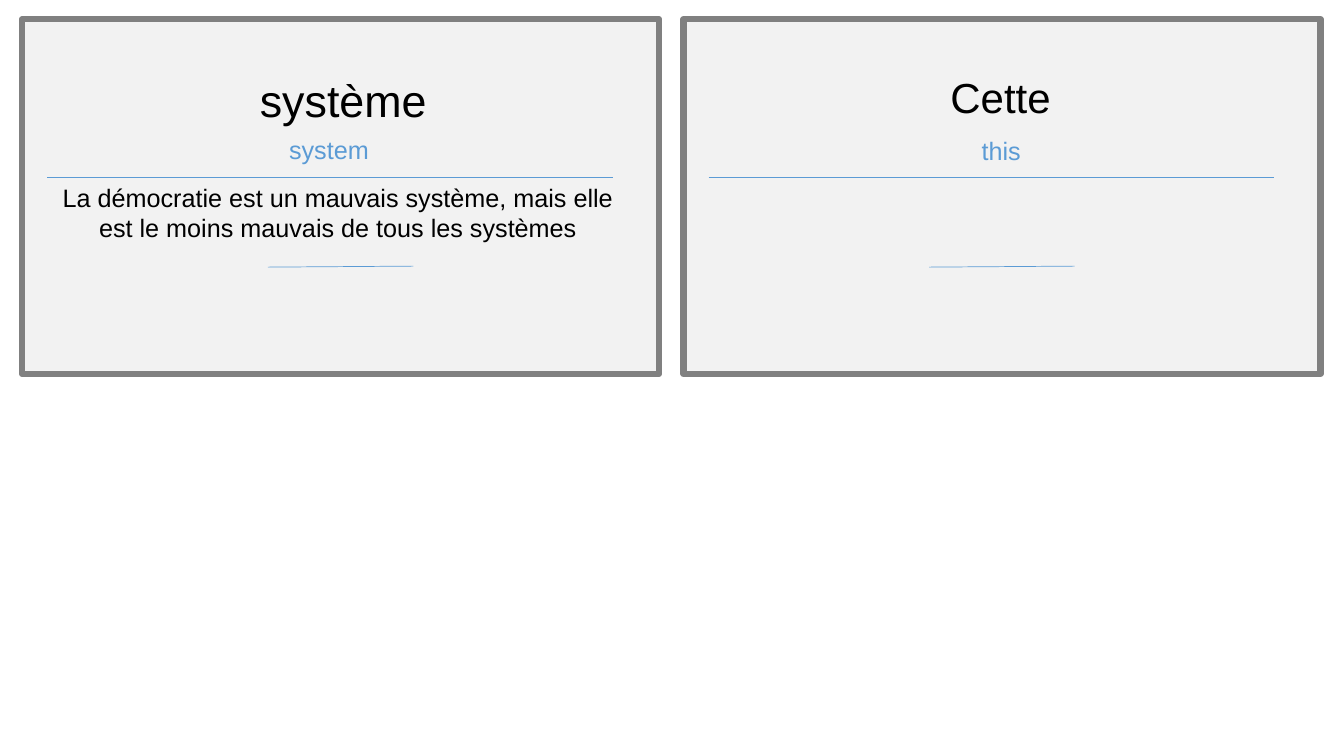
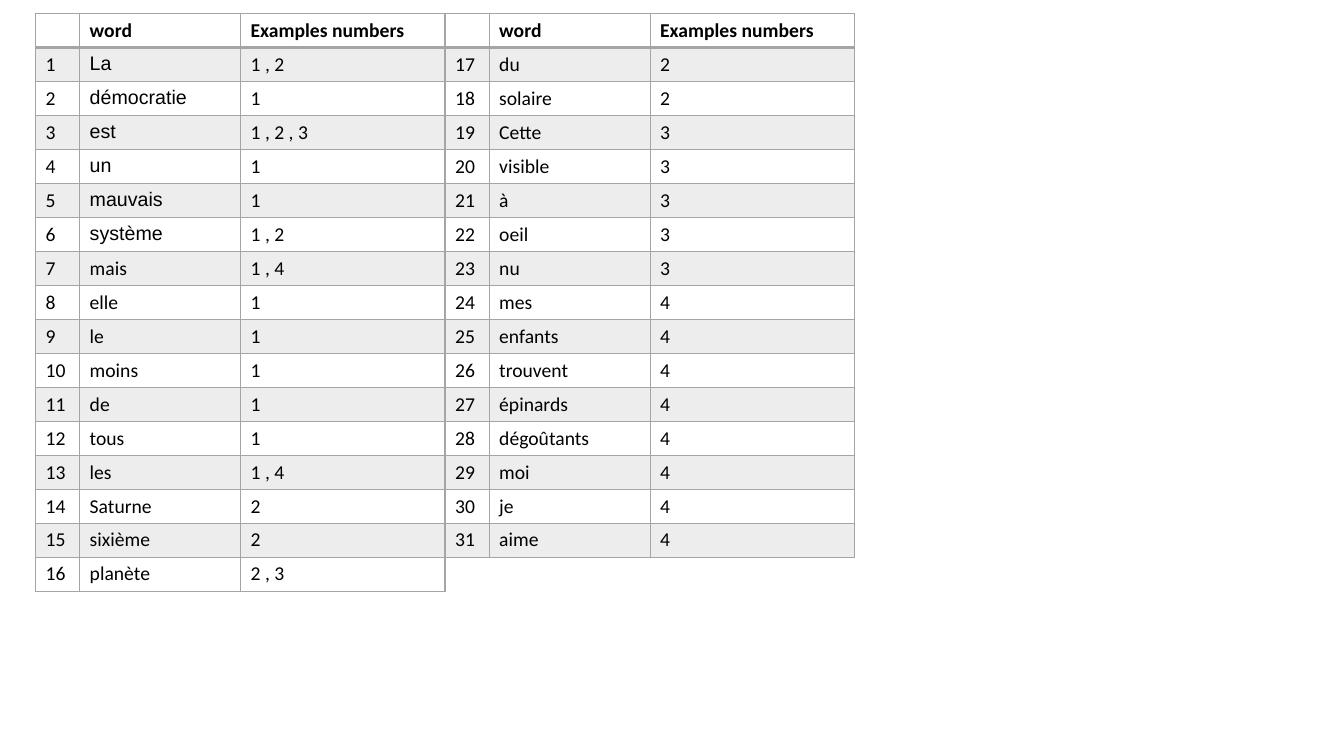
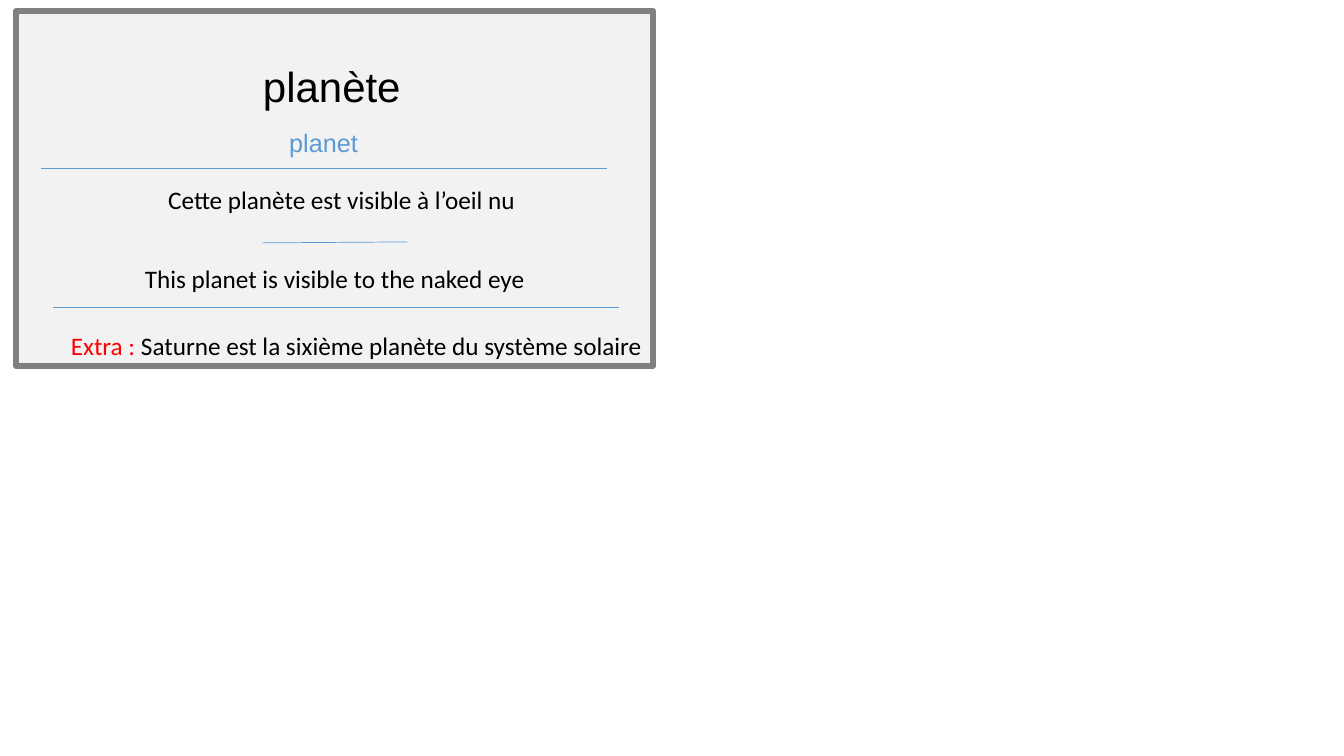
from lxml.etree import SubElement
from pptx import Presentation
from pptx.dml.color import RGBColor as RGB
from pptx.enum.shapes import MSO_CONNECTOR as CONN, MSO_SHAPE as SHAPE
from pptx.enum.text import MSO_AUTO_SIZE as FIT, PP_ALIGN as AL
from pptx.oxml.ns import qn
from pptx.util import Pt

COLORS = {"card": "F2F2F2", "frame": "808080", "accent": "5B9BD5",
          "ink": "000000", "extra": "FF0000", "grid": "A5A5A5"}
CARD_W, CARD_H = 455, 253.4
RULE_W, SHORT_W = 404, 104
ROW_H = 24
COLUMNS = (31.5, 115, 146)
HEADER = ("", "word", "Examples numbers")
ARIAL_ROWS = 6
WORDS = [
    ("La", "1 , 2"), ("démocratie", "1"), ("est", "1 , 2 , 3"), ("un", "1"),
    ("mauvais", "1"), ("système", "1 , 2"), ("mais", "1 , 4"), ("elle", "1"),
    ("le", "1"), ("moins", "1"), ("de", "1"), ("tous", "1"), ("les", "1 , 4"),
    ("Saturne", "2"), ("sixième", "2"), ("planète", "2 , 3"), ("du", "2"),
    ("solaire", "2"), ("Cette", "3"), ("visible", "3"), ("à", "3"),
    ("oeil", "3"), ("nu", "3"), ("mes", "4"), ("enfants", "4"),
    ("trouvent", "4"), ("épinards", "4"), ("dégoûtants", "4"), ("moi", "4"),
    ("je", "4"), ("aime", "4"),
]


def rgb(name):
    """Return the named colour."""
    return RGB.from_string(COLORS[name])


def add_text(slide, box, runs, size=18, font="Arial", align=AL.LEFT, wrap=True):
    """Add one paragraph made of (text, colour) runs."""
    tf = slide.shapes.add_textbox(*map(Pt, box)).text_frame
    tf.word_wrap = wrap
    tf.auto_size = FIT.SHAPE_TO_FIT_TEXT
    p = tf.paragraphs[0]
    p.alignment = align
    p.font.size, p.font.name = Pt(size), font
    for text, color in runs:
        r = p.add_run()
        r.text = text
        r.font.color.rgb = rgb(color)


def add_rule(slide, x, y, width, rise=0):
    """Draw a thin accent line, lifted at its right end by rise."""
    c = slide.shapes.add_connector(CONN.STRAIGHT, Pt(x), Pt(y), Pt(x + width), Pt(y - rise))
    c.line.color.rgb = rgb("accent")
    c.line.width = Pt(0.5)
    SubElement(c._element.spPr, qn("a:effectLst"))


def add_card(slide, x, y, word, word_box, size, gloss, gloss_box, rule_y, short_y):
    """Draw a flashcard with its word, gloss and two rules."""
    sp = slide.shapes.add_shape(SHAPE.RECTANGLE, Pt(x), Pt(y), Pt(CARD_W), Pt(CARD_H))
    sp.shadow.inherit = False
    sp.fill.solid()
    sp.fill.fore_color.rgb = rgb("card")
    sp.line.color.rgb = rgb("frame")
    sp.line.width = Pt(4.5)
    dx, dy, width = word_box
    add_text(slide, (x + dx, y + dy, width, size * 1.2 + 7.2), [(word, "ink")], size)
    dx, dy, width = gloss_box
    add_text(slide, (x + dx, y + dy, width, 29), [(gloss, "accent")], wrap=False)
    add_rule(slide, x + 18, y + rule_y, RULE_W)
    add_rule(slide, x + 175.5, y + short_y, SHORT_W, 0.7)


def set_borders(cell, bottom):
    """Draw the grid lines of a cell."""
    tc_pr = cell._tc.get_or_add_tcPr()
    for side, width in (("L", 1), ("R", 1), ("T", 1), ("B", bottom)):
        ln = SubElement(tc_pr, qn(f"a:ln{side}"), w=str(Pt(width)))
        SubElement(SubElement(ln, qn("a:solidFill")), qn("a:srgbClr"), val=COLORS["grid"])


def fill_cell(cell, text, font, header, banded):
    """Write and format one cell."""
    set_borders(cell, 2 if header else 1)
    if banded:
        cell.fill.solid()
        cell.fill.fore_color.rgb = rgb("grid")
        for clr in cell._tc.tcPr.findall(f"{qn('a:solidFill')}/{qn('a:srgbClr')}"):
            SubElement(clr, qn("a:alpha"), val="20000")
    else:
        cell.fill.background()
    p = cell.text_frame.paragraphs[0]
    p.font.size, p.font.name, p.font.bold = Pt(14), font, header
    p.font.color.rgb = rgb("ink")
    if text:
        p.add_run().text = text
    else:
        SubElement(p._p, qn("a:endParaRPr"), sz="1400")


def add_word_table(slide, x, y, first, words):
    """Add a numbered word table whose numbering starts at first."""
    rows = [HEADER] + [(str(n), *entry) for n, entry in enumerate(words, first)]
    table = slide.shapes.add_table(len(rows), len(COLUMNS), Pt(x), Pt(y),
                                   Pt(sum(COLUMNS)), Pt(ROW_H * len(rows))).table
    table.first_row = table.horz_banding = False
    for column, width in zip(table.columns, COLUMNS):
        column.width = Pt(width)
    for i, row in enumerate(rows):
        table.rows[i].height = Pt(ROW_H)
        for j, text in enumerate(row):
            arial = j == 1 and i > 0 and first + i - 1 <= ARIAL_ROWS
            fill_cell(table.cell(i, j), text, "Arial" if arial else "Calibri",
                      i == 0, i % 2 == 1)


def build_card_pair(slide):
    """Build the slide with two cards side by side."""
    left, right, top = 15.8, 488.2, 13.7
    add_card(slide, left, top, "système", (162.7, 34.5, 157.7), 32,
             "system", (183.6, 78.5, 72), 113, 177.1)
    add_card(slide, right, top, "Cette", (183.6, 33.8, 103), 30,
             "this", (205.9, 79.2, 42.5), 113, 177.1)
    sentence = ("La démocratie est un mauvais système, mais elle "
                "est le moins mauvais de tous les systèmes")
    add_text(slide, (left + 21, top + 113, 409, 51), [(sentence, "ink")], align=AL.CENTER)


def build_word_list(slide):
    """Build the slide with the two word tables."""
    half = (len(WORDS) + 1) // 2
    left, top = 25.4, 9.8
    add_word_table(slide, left, top, 1, WORDS[:half])
    add_word_table(slide, left + sum(COLUMNS), top, half + 1, WORDS[half:])


def build_full_card(slide):
    """Build the slide with one card that has all its sentences."""
    x, y = 11.5, 7.9
    add_card(slide, x, y, "planète", (169.2, 31.7, 157.7), 30,
             "planet", (188, 79.2, 64), 112.3, 165.6)
    add_rule(slide, x + 26.6, y + 211.7, RULE_W)
    sentences = [
        (28, 120.2, 409, True, [("Cette planète est visible à l’oeil nu", "ink")]),
        (26.6, 176.4, 402, True, [("This planet is visible to the naked eye", "ink")]),
        (29.5, 224.6, 427, False, [("Extra : ", "extra"),
                                   ("Saturne est la sixième planète du système solaire", "ink")]),
    ]
    for dx, dy, width, wrap, runs in sentences:
        add_text(slide, (x + dx, y + dy, width, 29), runs, font="Calibri",
                 align=AL.CENTER, wrap=wrap)


def main():
    """Build the deck and save it."""
    prs = Presentation()
    prs.slide_width, prs.slide_height = Pt(960), Pt(540)
    for build in (build_card_pair, build_word_list, build_full_card):
        build(prs.slides.add_slide(prs.slide_layouts[6]))
    prs.save("out.pptx")


if __name__ == "__main__":
    main()
